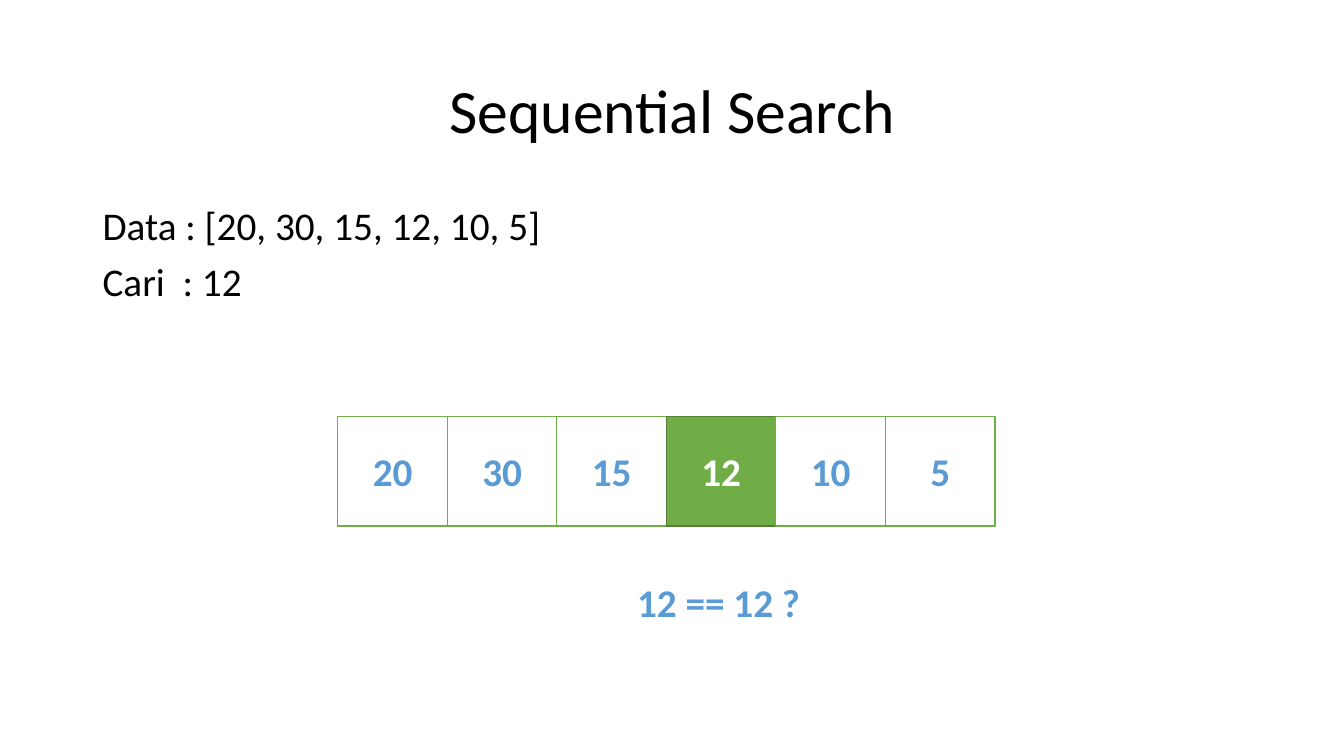
from pptx import Presentation
from pptx.dml.color import RGBColor
from pptx.enum import shapes, text
from pptx.util import Inches, Pt

BLACK = RGBColor(0x00, 0x00, 0x00)
WHITE = RGBColor(0xFF, 0xFF, 0xFF)
BLUE = RGBColor(0x5B, 0x9B, 0xD5)
GREEN = RGBColor(0x70, 0xAD, 0x47)
DARK_GREEN = RGBColor(0x53, 0x80, 0x35)

FONT = "Calibri"
DATA = [20, 30, 15, 12, 10, 5]
TARGET = 12
ROW_LEFT, ROW_TOP, CELL_SIZE = 3.35, 4.13, 1.09
ROW_RIGHT = 9.87
CELL_STEP = (ROW_RIGHT - ROW_LEFT - CELL_SIZE) / (len(DATA) - 1)


def add_run(paragraph, wording, color, size=28, bold=False):
    run = paragraph.add_run()
    run.text = wording
    run.font.name = FONT
    run.font.size = Pt(size)
    run.font.bold = bold
    run.font.color.rgb = color


def add_text(slide, box, lines, color, size=28, bold=False, align=text.PP_ALIGN.LEFT,
             anchor=text.MSO_ANCHOR.TOP, line_spacing=1.0, space_before=0):
    """Add a text box at box (left, top, width, height) with one paragraph per line."""
    frame = slide.shapes.add_textbox(*map(Inches, box)).text_frame
    frame.word_wrap = True
    frame.vertical_anchor = anchor
    for index, line in enumerate(lines):
        paragraph = frame.add_paragraph() if index else frame.paragraphs[0]
        paragraph.alignment = align
        paragraph.line_spacing = line_spacing
        paragraph.space_before = Pt(space_before)
        add_run(paragraph, line, color, size, bold)


def add_cell(slide, index, value):
    """Add one array cell, highlighted when it holds the searched value."""
    found = value == TARGET
    cell = slide.shapes.add_shape(
        shapes.MSO_SHAPE.RECTANGLE, Inches(ROW_LEFT + index * CELL_STEP),
        Inches(ROW_TOP), Inches(CELL_SIZE), Inches(CELL_SIZE))
    cell.shadow.inherit = False
    cell.fill.solid()
    cell.fill.fore_color.rgb = GREEN if found else WHITE
    cell.line.color.rgb = DARK_GREEN if found else GREEN
    cell.line.width = Pt(1)
    cell.text_frame.vertical_anchor = text.MSO_ANCHOR.MIDDLE
    paragraph = cell.text_frame.paragraphs[0]
    paragraph.alignment = text.PP_ALIGN.CENTER
    add_run(paragraph, str(value), WHITE if found else BLUE, bold=True)


def main():
    deck = Presentation()
    deck.slide_width, deck.slide_height = Inches(13.33), Inches(7.5)
    slide = deck.slides.add_slide(deck.slide_layouts[6])

    add_text(slide, (0.92, 0.4, 11.5, 1.45), ["Sequential Search"], BLACK, size=44,
             align=text.PP_ALIGN.CENTER, anchor=text.MSO_ANCHOR.MIDDLE, line_spacing=0.9)
    add_text(slide, (0.92, 2, 11.5, 4.76), [f"Data : {DATA}", f"Cari  : {TARGET}"], BLACK,
             line_spacing=0.9, space_before=10)
    for index, value in enumerate(DATA):
        add_cell(slide, index, value)
    add_text(slide, (6.22, 5.69, 1.86, 0.57), [f"{TARGET} == {TARGET} ?"], BLUE, bold=True)

    deck.save("out.pptx")


if __name__ == "__main__":
    main()
